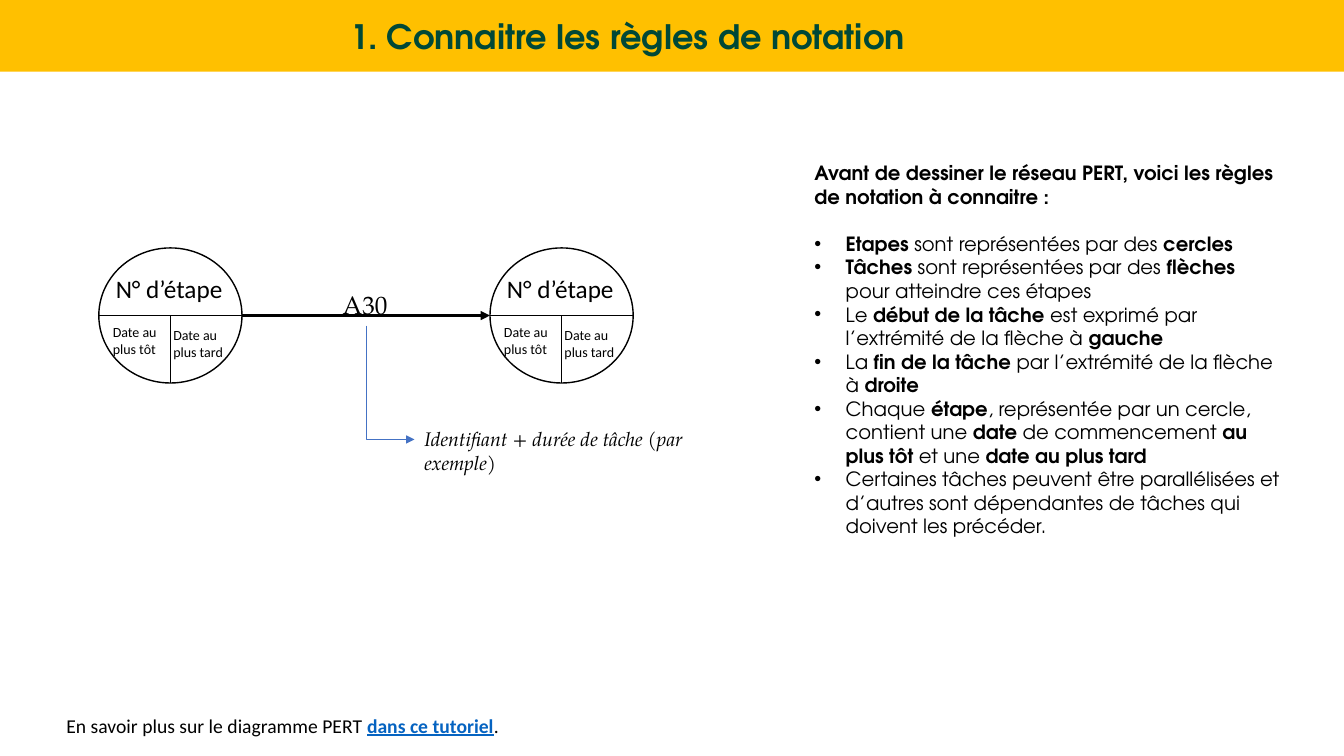
import dataclasses

import pptx
import pptx.dml.color
import pptx.enum.shapes
import pptx.enum.text
import pptx.oxml.ns
import pptx.oxml.xmlchemy
import pptx.util

Inches = pptx.util.Inches
Pt = pptx.util.Pt
qn = pptx.oxml.ns.qn
OxmlElement = pptx.oxml.xmlchemy.OxmlElement
SHAPES = pptx.enum.shapes.MSO_SHAPE
CONNECTORS = pptx.enum.shapes.MSO_CONNECTOR
ANCHORS = pptx.enum.text.MSO_ANCHOR
ALIGN = pptx.enum.text.PP_ALIGN


@dataclasses.dataclass(frozen=True)
class Theme:
    """Colours, fonts and type sizes of the slide."""
    ink: str = "000000"
    banner: str = "FFC000"
    title: str = "004837"
    link: str = "0563C1"
    pointer: str = "4472C4"
    plain: str = "Calibri"
    display: str = "TeX Gyre Adventor"
    serif: str = "TeX Gyre Pagella"
    title_pt: int = 24
    label_pt: int = 18
    body_pt: int = 14
    small_pt: int = 10


THEME = Theme()

INTRO = "Avant de dessiner le réseau PERT, voici les règles de notation à connaitre :"
# Asterisks enclose the bold parts.
RULES = [
    "*Etapes* sont représentées par des *cercles*",
    "*Tâches* sont représentées par des *flèches* pour atteindre ces étapes",
    "Le *début de la tâche *est exprimé par l’extrémité de la flèche à *gauche*",
    "La *fin de la tâche *par l’extrémité de la flèche à *droite*",
    "Chaque *étape*, représentée par un cercle, contient une *date* de commencement "
    "*au plus tôt* et une *date au plus tard*",
    "Certaines tâches peuvent être parallélisées et d’autres sont dépendantes de "
    "tâches qui doivent les précéder.",
]

CIRCLE_W, CIRCLE_H = 1.42, 1.34
CIRCLE_TOP = 2.46
AXIS_Y = CIRCLE_TOP + CIRCLE_H / 2
STEP_LEFTS = (0.98, 4.86)


def rgb(value):
    """Turn a hex string into a colour."""
    return pptx.dml.color.RGBColor.from_string(value)


def add_run(p, text, size, font=THEME.plain, color=THEME.ink,
            bold=False, italic=False, underline=False):
    """Append one formatted run to a paragraph."""
    r = p.add_run()
    r.text = text
    r.font.size, r.font.name = Pt(size), font
    r.font.bold, r.font.italic, r.font.underline = bold, italic, underline
    r.font.color.rgb = rgb(color)


def add_box(s, left, top, width, height, wrap=True):
    """Add an empty text box and return its text frame."""
    tf = s.shapes.add_textbox(
        Inches(left), Inches(top), Inches(width), Inches(height)).text_frame
    tf.word_wrap = wrap
    return tf


def add_label(s, left, top, width, height, text, size, wrap=True, **style):
    """Add a text box holding a single run."""
    tf = add_box(s, left, top, width, height, wrap)
    add_run(tf.paragraphs[0], text, size, **style)


def add_shape(s, kind, left, top, width, height, fill=None, line=None):
    """Add a flat preset shape with an optional fill or outline."""
    sp = s.shapes.add_shape(
        kind, Inches(left), Inches(top), Inches(width), Inches(height))
    sp.shadow.inherit = False
    if fill:
        sp.fill.solid()
        sp.fill.fore_color.rgb = rgb(fill)
    else:
        sp.fill.background()
    if line:
        sp.line.color.rgb = rgb(line)
        sp.line.width = Pt(1)
    else:
        sp.line.fill.background()


def add_line(s, x1, y1, x2, y2, weight=0.5, color=THEME.ink, arrow=False,
             kind=CONNECTORS.STRAIGHT):
    """Add a connector, with an arrowhead at its end if asked."""
    cxn = s.shapes.add_connector(kind, Inches(x1), Inches(y1), Inches(x2), Inches(y2))
    cxn.line.color.rgb = rgb(color)
    cxn.line.width = Pt(weight)
    spPr = cxn._element.spPr
    if arrow:
        tail = OxmlElement("a:tailEnd")
        tail.set("type", "triangle")
        spPr.find(qn("a:ln")).append(tail)
    spPr.append(OxmlElement("a:effectLst"))
    return cxn


def add_down_right_arrow(s, x1, y1, x2, y2):
    """Add an arrow that goes down, then right, with a single bend."""
    run, drop = x2 - x1, y2 - y1
    left, top = (x1 + x2 - drop) / 2, (y1 + y2 - run) / 2
    cxn = add_line(s, left, top, left + drop, top + run, color=THEME.pointer,
                   arrow=True, kind=CONNECTORS.ELBOW)
    spPr = cxn._element.spPr
    spPr.find(qn("a:prstGeom")).set("prst", "bentConnector2")
    xfrm = spPr.find(qn("a:xfrm"))
    xfrm.set("rot", str(270 * 60000))
    xfrm.set("flipH", "1")


def add_step(s, left):
    """Add a step circle split into a number and two dates."""
    middle = left + CIRCLE_W / 2
    add_shape(s, SHAPES.OVAL, left, CIRCLE_TOP, CIRCLE_W, CIRCLE_H, line=THEME.ink)
    add_line(s, left, AXIS_Y, left + CIRCLE_W, AXIS_Y)
    add_line(s, middle, AXIS_Y, middle, CIRCLE_TOP + CIRCLE_H)
    add_label(s, left + 0.07, 2.66, 1.27, 0.4, "N° d’étape", THEME.label_pt, wrap=False)
    add_label(s, left + 0.04, 3.16, 0.71, 0.44, "Date au plus tôt", THEME.small_pt)
    add_label(s, left + 0.64, 3.19, 0.71, 0.44, "Date au plus tard", THEME.small_pt)


def add_task(s):
    """Add the task arrow between the steps, with its explanation."""
    add_line(s, STEP_LEFTS[0] + CIRCLE_W, AXIS_Y, STEP_LEFTS[1], AXIS_Y,
             weight=2.25, arrow=True)
    add_label(s, 3.3, 2.82, 0.65, 0.4, "A30", THEME.label_pt, wrap=False,
              font=THEME.serif)
    add_label(s, 4.11, 4.19, 3.3, 0.57, "Identifiant + durée de tâche (par exemple)",
              THEME.body_pt, font=THEME.serif, italic=True)
    add_down_right_arrow(s, 3.63, 3.23, 4.11, 4.36)


def add_bullet(p, indent):
    """Give a paragraph a round bullet with a hanging indent."""
    pPr = p._p.get_or_add_pPr()
    pPr.set("marL", str(Inches(indent)))
    pPr.set("indent", str(-Inches(indent)))
    font = OxmlElement("a:buFont")
    font.set("typeface", "Arial")
    mark = OxmlElement("a:buChar")
    mark.set("char", "•")
    pPr.extend([font, mark])


def add_rules(s):
    """Add the introduction and the bulleted notation rules."""
    tf = add_box(s, 7.98, 1.55, 4.86, 4.11)
    p = tf.paragraphs[0]
    p.space_after = Pt(16.8)
    add_run(p, INTRO, THEME.body_pt, THEME.display, bold=True)
    for rule in RULES:
        p = tf.add_paragraph()
        add_bullet(p, 0.31)
        for i, part in enumerate(rule.split("*")):
            if part:
                add_run(p, part, THEME.body_pt, THEME.display, bold=i % 2 == 1)


def add_title(s):
    """Add the banner and the centred title."""
    add_shape(s, SHAPES.RECTANGLE, 0, 0, 13.33, 0.71, fill=THEME.banner)
    tf = add_box(s, 1.67, 0.13, 9.11, 0.5)
    tf.vertical_anchor = ANCHORS.MIDDLE
    p = tf.paragraphs[0]
    p.alignment, p.line_spacing = ALIGN.CENTER, 0.9
    add_run(p, "1. Connaitre les règles de notation", THEME.title_pt,
            THEME.display, THEME.title, bold=True)


def add_footer(s):
    """Add the pointer to further reading."""
    p = add_box(s, 0.56, 7.03, 10.34, 0.34).paragraphs[0]
    add_run(p, "En savoir plus sur le diagramme PERT ", THEME.body_pt)
    add_run(p, "dans ce tutoriel", THEME.body_pt, color=THEME.link,
            bold=True, underline=True)
    add_run(p, ".", THEME.body_pt)


def main():
    """Build the slide and save it."""
    prs = pptx.Presentation()
    prs.slide_width, prs.slide_height = Inches(13.33), Inches(7.5)
    s = prs.slides.add_slide(prs.slide_layouts[6])
    for left in STEP_LEFTS:
        add_step(s, left)
    add_task(s)
    add_rules(s)
    add_title(s)
    add_footer(s)
    prs.save("out.pptx")


main()
